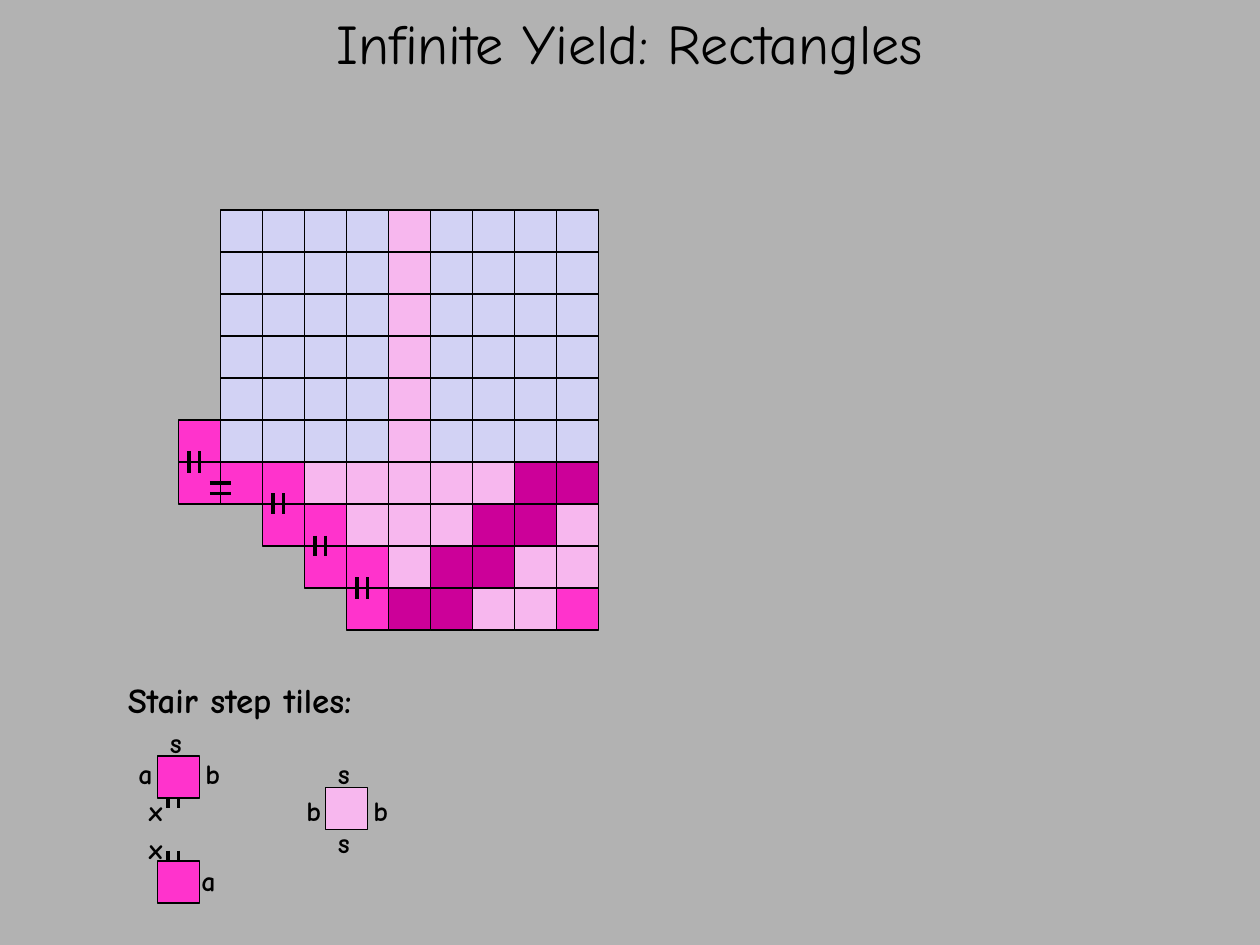
import dataclasses
import typing

import lxml.etree
import pptx
import pptx.dml.color
import pptx.enum.shapes
import pptx.enum.text
import pptx.oxml.ns
import pptx.util

PX = 9525  # EMU in one px, 96 px to the inch
CELL = 32
TICK = 8
LEFT, TOP = 136, 160
FONT = "Comic Neue"
BLACK = "000000"
HUES = {"L": "D2D2F4", "P": "F7B7EE", "H": "FF33CC", "D": "CC0099"}
GRID = [".LLLLPLLLL"] * 5 + [
    "HLLLLPLLLL",
    "HHHPPPPPDD",
    "..HHPPPDDP",
    "...HHPDDPP",
    "....HDDPPH",
]


@dataclasses.dataclass
class Tile:
    x: int
    y: int
    hue: str


@dataclasses.dataclass
class Bond:
    """A pair of short strokes, each made of one or two halves."""
    x: int
    y: int
    halves: int = 2
    flat: bool = False


@dataclasses.dataclass
class Label:
    text: str
    x: int
    y: int
    wide: int = 32
    high: int = 36
    size: int = 16


def emu(*vals: int) -> typing.List[int]:
    return [val * PX for val in vals]


def color(code: str) -> pptx.dml.color.RGBColor:
    return pptx.dml.color.RGBColor.from_string(code)


def format(item: typing.Any, vals: typing.Dict[str, typing.Any]) -> None:
    for name, val in vals.items():
        setattr(item, name, val)


def write(frame: typing.Any, text: str, size: int, bold: bool) -> None:
    run = frame.paragraphs[0].add_run()
    run.text = text
    format(run.font, {"name": FONT, "size": pptx.util.Pt(size), "bold": bold})
    run.font.color.rgb = color(BLACK)


def draw_tile(slide: typing.Any, tile: Tile) -> None:
    rect = slide.shapes.add_shape(
        pptx.enum.shapes.MSO_SHAPE.RECTANGLE, *emu(tile.x, tile.y, CELL, CELL))
    rect.shadow.inherit = False
    rect.fill.solid()
    rect.fill.fore_color.rgb = color(HUES[tile.hue])
    rect.line.color.rgb = color(BLACK)
    rect.line.width = pptx.util.Pt(0.75)


def draw_bond(slide: typing.Any, bond: Bond) -> None:
    for side in range(2):
        for half in range(bond.halves):
            over, down = (half, side) if bond.flat else (side, half)
            x, y = bond.x + over * TICK, bond.y + down * TICK
            end = (x + TICK, y) if bond.flat else (x, y + TICK)
            line = slide.shapes.add_connector(
                pptx.enum.shapes.MSO_CONNECTOR.STRAIGHT, *emu(x, y, *end))
            line.line.color.rgb = color(BLACK)
            line.line.width = pptx.util.Pt(2.25)
            lxml.etree.SubElement(
                line.element.spPr, pptx.oxml.ns.qn("a:effectLst"))


def draw_label(slide: typing.Any, label: Label) -> None:
    box = slide.shapes.add_textbox(
        *emu(label.x, label.y, label.wide, label.high))
    format(box.text_frame, {
        "word_wrap": False,
        "auto_size": pptx.enum.text.MSO_AUTO_SIZE.SHAPE_TO_FIT_TEXT,
    })
    write(box.text_frame, label.text, label.size, True)


def draw_title(slide: typing.Any, text: str) -> None:
    title = slide.shapes.title
    format(title, dict(zip(("left", "top", "width", "height"),
                           emu(0, 0, 960, 64))))
    format(title.text_frame, {
        "auto_size": pptx.enum.text.MSO_AUTO_SIZE.NONE,
        "vertical_anchor": pptx.enum.text.MSO_ANCHOR.MIDDLE,
    })
    title.text_frame.paragraphs[0].alignment = pptx.enum.text.PP_ALIGN.CENTER
    write(title.text_frame, text, 32, False)


def main() -> None:
    deck = pptx.Presentation()
    deck.slide_width, deck.slide_height = emu(960, 720)
    slide = deck.slides.add_slide(deck.slide_layouts[5])
    slide.background.fill.solid()
    slide.background.fill.fore_color.rgb = color("B2B2B2")
    draw_title(slide, "Infinite Yield: Rectangles")

    # Tiles of the grid, then those of the key
    tiles = [Tile(LEFT + col * CELL, TOP + row * CELL, hue)
             for row, hues in enumerate(GRID)
             for col, hue in enumerate(hues) if hue != "."]
    tiles += [Tile(120, 576, "H"), Tile(120, 656, "H"), Tile(248, 600, "P")]
    for tile in tiles:
        draw_tile(slide, tile)

    # Bonds between the stair steps, as (column, row) of the upper tile
    steps = [(0, 5), (2, 6), (3, 7), (4, 8)]
    bonds = [Bond(LEFT + col * CELL + TICK, TOP + (row + 1) * CELL - TICK)
             for col, row in steps]
    bonds += [Bond(160, 368, flat=True),
              Bond(128, 608, halves=1), Bond(128, 648, halves=1)]
    for bond in bonds:
        draw_bond(slide, bond)

    # Words of the key
    labels = [
        Label("Stair step tiles:", 88, 512, 232, 42, 20),
        Label("s", 120, 548, 30), Label("a", 96, 572), Label("b", 147, 572),
        Label("x", 104, 600), Label("x", 104, 629), Label("a", 144, 653),
        Label("s", 248, 572, 30), Label("b", 224, 600),
        Label("b", 275, 600), Label("s", 248, 624, 30),
    ]
    for label in labels:
        draw_label(slide, label)

    deck.save("out.pptx")


if __name__ == "__main__":
    main()
